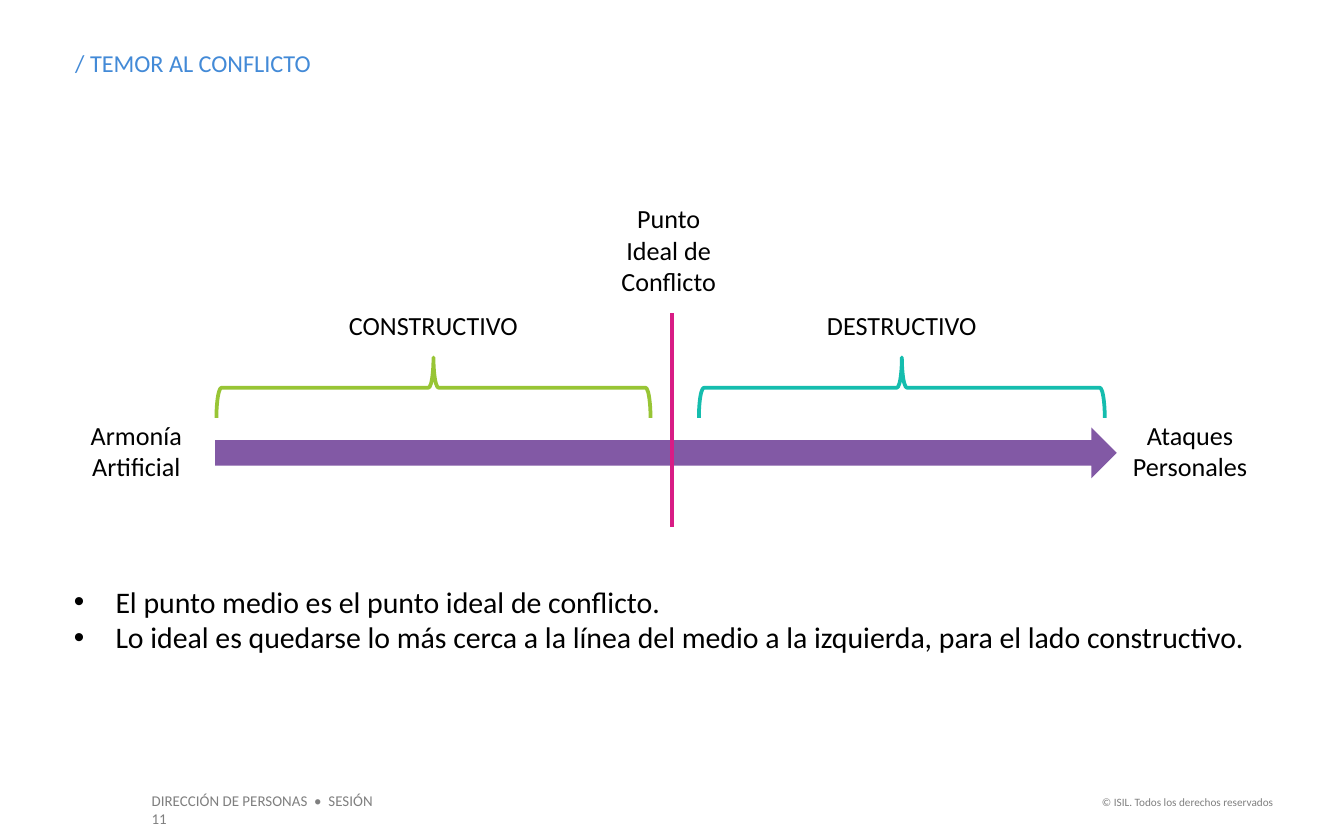
from lxml.etree import SubElement
from pptx import Presentation
from pptx.dml.color import RGBColor
from pptx.enum.shapes import MSO_CONNECTOR, MSO_SHAPE
from pptx.enum.text import MSO_ANCHOR, PP_ALIGN
from pptx.oxml.ns import qn
from pptx.util import Inches, Pt

COLORS = {
    "title": "438AD7",
    "text": "000000",
    "footer": "7F7F7F",
    "axis": "8259A5",
    "constructive": "98C535",
    "destructive": "15BDAE",
    "ideal": "D81C85",
}
FONT = "Calibri"


def color(name):
    return RGBColor.from_string(COLORS[name])


def write(shape, text, size, tone="text", align=PP_ALIGN.LEFT, insets=(0.1, 0.05)):
    frame = shape.text_frame
    frame.word_wrap = True
    frame.vertical_anchor = MSO_ANCHOR.TOP
    frame.margin_left = frame.margin_right = Inches(insets[0])
    frame.margin_top = frame.margin_bottom = Inches(insets[1])
    frame.text = text
    for paragraph in frame.paragraphs:
        paragraph.alignment = align
        for run in paragraph.runs:
            run.font.name = FONT
            run.font.size = Pt(size)
            run.font.color.rgb = color(tone)


def add_text(slide, box, text, size, **style):
    textbox = slide.shapes.add_textbox(*map(Inches, box))
    write(textbox, text, size, **style)
    return textbox


def add_title(slide, box):
    title = slide.shapes.title
    title.left, title.top, title.width, title.height = map(Inches, box)
    write(title, "/ TEMOR AL CONFLICTO", 13, tone="title", insets=(0, 0))
    title.text_frame.paragraphs[0].line_spacing = 1.0


def add_side(slide, box, label, tone):
    """Brace opening downwards over its part of the axis, with a label above."""
    left, top, width, height = box
    middle = left + width / 2
    # The brace is turned a quarter, so its own sides are swapped
    brace = slide.shapes.add_shape(
        MSO_SHAPE.LEFT_BRACE,
        Inches(middle - height / 2), Inches(top + height / 2 - width / 2),
        Inches(height), Inches(width))
    brace.rotation = 90
    brace.shadow.inherit = False
    brace.fill.background()
    brace.line.color.rgb = color(tone)
    brace.line.width = Pt(2)
    label_width = 2.38
    add_text(slide, (middle - label_width / 2, top - 0.41, label_width, 0.3),
             label, 14, align=PP_ALIGN.CENTER)


def add_conflict_scale(slide, box):
    left, top, width, height = box

    # Axis from harmony to attacks
    axis = slide.shapes.add_shape(
        MSO_SHAPE.RIGHT_ARROW, Inches(left + 1.13), Inches(top + 1.72),
        Inches(6.71), Inches(0.38))
    axis.shadow.inherit = False
    axis.fill.solid()
    axis.fill.fore_color.rgb = color("axis")
    axis.line.fill.background()

    # The two sides of the scale
    add_side(slide, (left + 1.14, top + 1.2, 3.23, 0.45), "CONSTRUCTIVO", "constructive")
    add_side(slide, (left + 4.73, top + 1.2, 3.02, 0.45), "DESTRUCTIVO", "destructive")

    # Ideal point
    ideal_x = Inches(left + 4.53)
    ideal = slide.shapes.add_connector(
        MSO_CONNECTOR.STRAIGHT, ideal_x, Inches(top + 0.87), ideal_x, Inches(top + height))
    ideal.line.color.rgb = color("ideal")
    ideal.line.width = Pt(2)
    SubElement(ideal._element.spPr, qn("a:effectLst"))

    # Labels of the ends and of the ideal point
    end_width = 1.13
    for label, x, y, label_width, label_height in (
        ("Armonía\nArtificial", left, top + 1.61, 1.09, 0.57),
        ("Ataques\nPersonales", left + width - end_width, top + 1.61, end_width, 0.57),
        ("Punto Ideal de Conflicto", left + 3.96, top, 1.09, 0.81),
    ):
        add_text(slide, (x, y, label_width, label_height), label, 14,
                 align=PP_ALIGN.CENTER)


def add_conclusions(slide, box):
    conclusions = add_text(
        slide, box,
        "El punto medio es el punto ideal de conflicto.\n"
        "Lo ideal es quedarse lo más cerca a la línea del medio a la izquierda, "
        "para el lado constructivo.",
        16, insets=(0, 0))
    for paragraph in conclusions.text_frame.paragraphs:
        properties = paragraph._p.get_or_add_pPr()
        properties.set("marL", str(Inches(0.31)))
        properties.set("indent", str(-Inches(0.31)))
        SubElement(properties, qn("a:buFont"), typeface="Arial")
        SubElement(properties, qn("a:buChar"), char="•")


def add_footer(slide, box):
    left, top, width, height = box
    rights_width = 1.52
    add_text(slide, (left, top, 1.98, height),
             "DIRECCIÓN DE PERSONAS  •  SESIÓN 11", 8, tone="footer")
    add_text(slide, (left + width - rights_width, top + 0.03, rights_width, 0.2),
             "© ISIL. Todos los derechos reservados", 6, tone="footer",
             align=PP_ALIGN.RIGHT)


def main():
    presentation = Presentation()
    presentation.slide_width = Inches(10)
    presentation.slide_height = Inches(6.25)
    slide = presentation.slides.add_slide(presentation.slide_layouts[5])
    add_footer(slide, (1.03, 5.84, 8.54, 0.24))
    add_title(slide, (0.56, 0.36, 7.02, 0.22))
    add_conclusions(slide, (0.55, 4.34, 8.9, 0.54))
    add_conflict_scale(slide, (0.47, 1.46, 8.95, 2.46))
    presentation.save("out.pptx")


if __name__ == "__main__":
    main()
